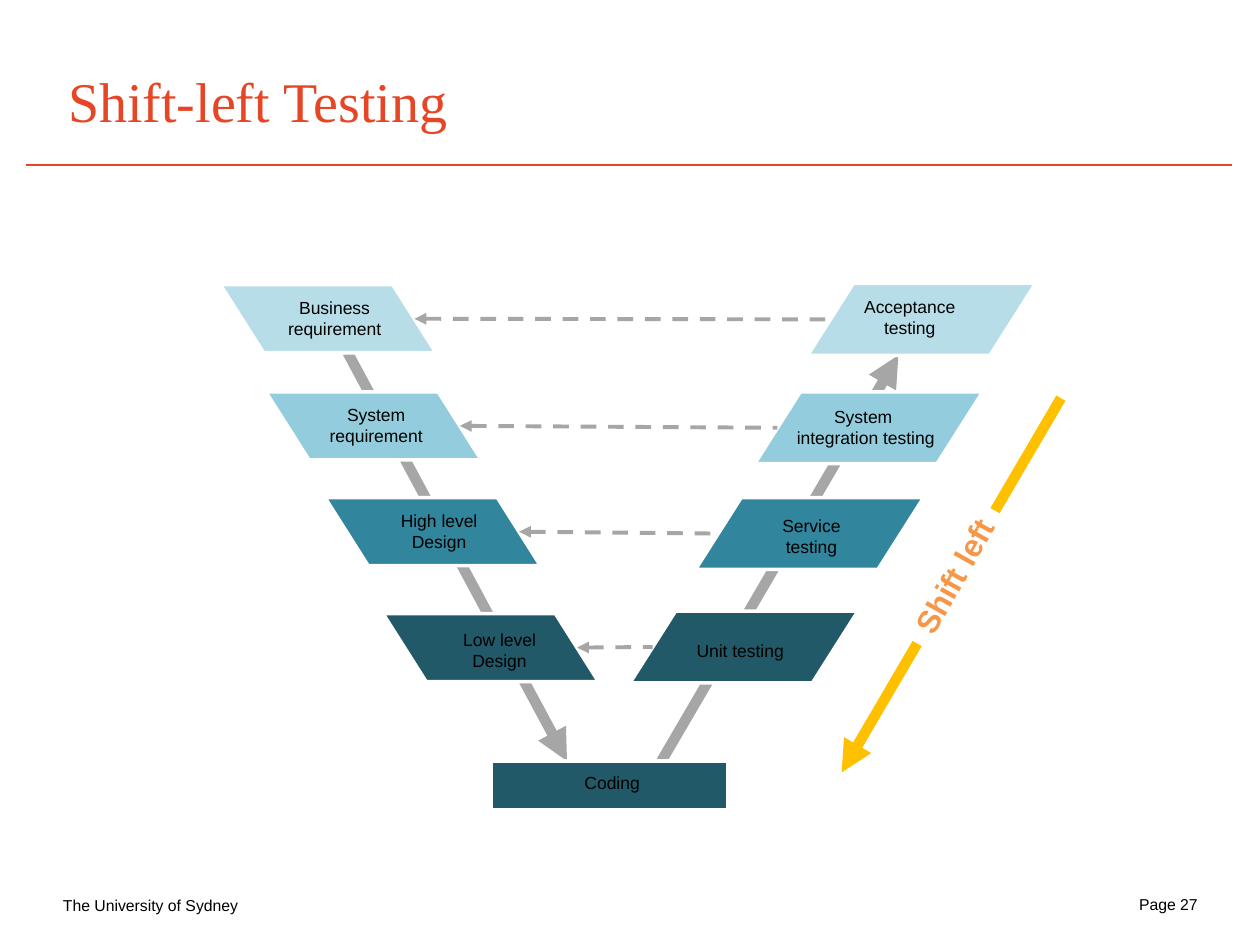
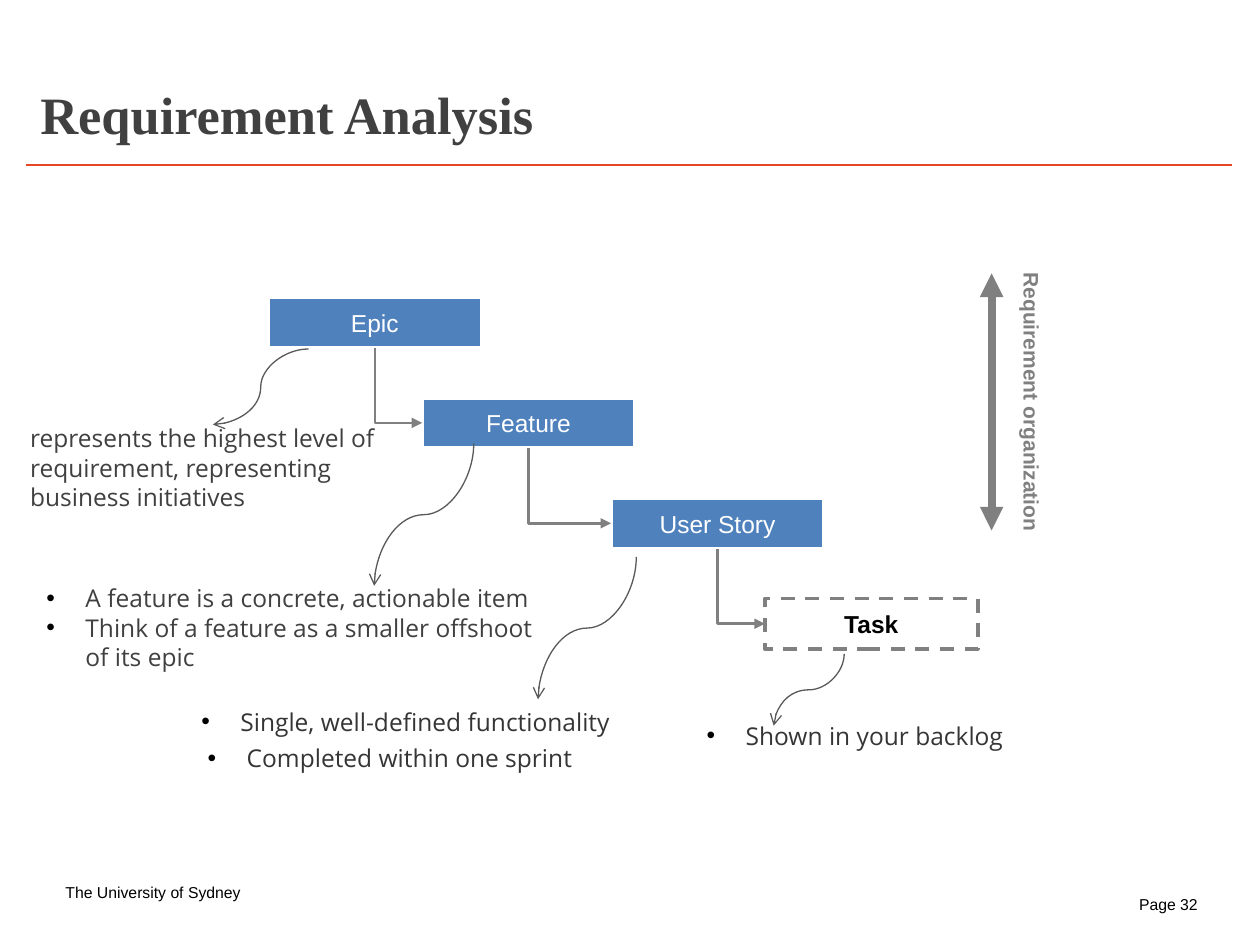
from lxml import etree
from pptx import Presentation
from pptx.dml.color import RGBColor
from pptx.enum.dml import MSO_LINE
from pptx.enum.shapes import MSO_CONNECTOR, MSO_SHAPE
from pptx.enum.text import MSO_ANCHOR, MSO_AUTO_SIZE, PP_ALIGN
from pptx.oxml.ns import qn
from pptx.util import Inches, Pt

STRAIGHT, ELBOW, CURVE = MSO_CONNECTOR.STRAIGHT, MSO_CONNECTOR.ELBOW, MSO_CONNECTOR.CURVE
RECT, SLANT = MSO_SHAPE.RECTANGLE, MSO_SHAPE.FLOWCHART_DATA
LEFT, CENTER = PP_ALIGN.LEFT, PP_ALIGN.CENTER
MIDDLE, TOP = MSO_ANCHOR.MIDDLE, MSO_ANCHOR.TOP
DASH = MSO_LINE.DASH
FIT = MSO_AUTO_SIZE.SHAPE_TO_FIT_TEXT
BOTTOM_SIDE, LEFT_SIDE = 2, 1
COLUMNS, ROWS = 100, 75
SANS, SERIF, BODY = "Arial", "Times New Roman", "Open Sans"
COLORS = {
    "red": "E64625", "white": "FFFFFF", "black": "000000", "ink": "404040",
    "body": "353535", "gray": "808080", "silver": "A6A6A6", "curve": "595959",
    "yellow": "FFC000", "orange": "F79646", "blue": "4F81BD",
    "level1": "B7DEE8", "level2": "93CDDD", "level3": "31859C", "level4": "215968",
}


def rgb(name):
    return RGBColor.from_string(COLORS[name])


class Deck:
    def __init__(self):
        self.prs = Presentation()
        self.prs.slide_width, self.prs.slide_height = Inches(10), Inches(7.5)
        self.s = None

    def col(self, n):
        return round(self.prs.slide_width * n / COLUMNS)

    def row(self, n):
        return round(self.prs.slide_height * n / ROWS)

    def box(self, x, y, w, h):
        return self.col(x), self.row(y), self.col(w), self.row(h)

    def slide(self, page, footer_at):
        self.s = self.prs.slides.add_slide(self.prs.slide_layouts[6])
        self.line((2.1, 13.1), (97.8, 13.1), "red", 0.75)
        for words, at in (("The University of Sydney", (*footer_at, 16.4, 1.5)),
                          (f"Page {page}", (90.4, 70.8, 5.1, 1.6))):
            self.text(at, words, 9, insets=(0, 0, 0, 0), spacing=1.17)

    def label(self, sp, words, size, color="black", font=SANS, bold=False, align=LEFT,
              anchor=TOP, insets=None, spacing=None, bullet=False):
        tf = sp.text_frame
        tf.text = words
        tf.word_wrap, tf.vertical_anchor = True, anchor
        if insets:
            tf.margin_left, tf.margin_top, tf.margin_right, tf.margin_bottom = map(Inches, insets)
        for p in tf.paragraphs:
            p.alignment = align
            if spacing:
                p.line_spacing = spacing
            if bullet:
                self.bullet(p)
            for r in p.runs:
                r.font.name, r.font.size, r.font.bold = font, Pt(size), bold
                r.font.color.rgb = rgb(color)

    def bullet(self, p):
        pPr = p._p.get_or_add_pPr()
        pPr.set("marL", str(Inches(0.31)))
        pPr.set("indent", str(Inches(-0.31)))
        shade = etree.SubElement(pPr, qn("a:buClr"))
        etree.SubElement(shade, qn("a:srgbClr"), val=COLORS["black"])
        etree.SubElement(pPr, qn("a:buFont"), typeface=SANS)
        etree.SubElement(pPr, qn("a:buChar"), char="•")

    def text(self, at, words, size, color="black", rotation=0, grow=True, **style):
        sp = self.s.shapes.add_textbox(*self.box(*at))
        sp.rotation = rotation
        self.label(sp, words, size, color, **style)
        if grow:
            sp.text_frame.auto_size = FIT

    def shape(self, kind, at, fill, line="white", dash=None, flip=False):
        sp = self.s.shapes.add_shape(kind, *self.box(*at))
        sp.shadow.inherit = False
        sp.fill.solid()
        sp.fill.fore_color.rgb = rgb(fill)
        sp.line.color.rgb = rgb(line)
        sp.line.width = Pt(2)
        if dash:
            sp.line.dash_style = dash
        if flip:
            sp.element.spPr.find(qn("a:xfrm")).set("flipH", "1")
        return sp

    def line(self, start, end, color, width, kind=STRAIGHT, head=None, tail=None, dash=None):
        c = self.s.shapes.add_connector(kind, self.col(start[0]), self.row(start[1]),
                                        self.col(end[0]), self.row(end[1]))
        c.line.color.rgb = rgb(color)
        c.line.width = Pt(width)
        if dash:
            c.line.dash_style = dash
        spPr = c.element.spPr
        for tag, arrow in (("a:headEnd", head), ("a:tailEnd", tail)):
            if arrow:
                etree.SubElement(spPr.find(qn("a:ln")), qn(tag), type=arrow)
        etree.SubElement(spPr, qn("a:effectLst"))
        return c

    def turn(self, c, degrees, flip):
        x, y, w, h = c.left, c.top, c.width, c.height
        c.left, c.top = x + (w - h) // 2, y + (h - w) // 2
        c.width, c.height = h, w
        xfrm = c.element.spPr.find(qn("a:xfrm"))
        xfrm.set("rot", str(degrees * 60000))
        xfrm.set("flipH", "1" if flip else "0")

    def step(self, upper, lower):
        c = self.line((0, 0), (1, 1), "gray", 1.5, ELBOW, tail="triangle")
        c.begin_connect(upper, BOTTOM_SIDE)
        c.end_connect(lower, LEFT_SIDE)
        c.element.spPr.find(qn("a:prstGeom")).set("prst", "bentConnector2")
        self.turn(c, 270, True)

    def pointer(self, start, end, downward=True):
        c = self.line(start, end, "curve", 0.75, CURVE, tail="arrow")
        if downward:
            self.turn(c, 90, False)


def shift_left_testing(d):
    d.slide(27, (5, 70.8))
    d.text((5.4, 5.1, 61.2, 5.7), "Shift-left Testing", 32, "red", font=SERIF,
           insets=(0, 0.02, 0, 0))
    for start, end, color, tail in (
            ((84.2, 31.6), (66.8, 61.3), "yellow", "triangle"),
            ((27.6, 28), (45, 60.4), "silver", "triangle"),
            ((52.5, 60.4), (71.3, 28.2), "silver", "triangle")):
        d.line(start, end, color, 6, tail=tail)

    design = [
        (17.5, 22.6, (20.7, 23.1), "Business requirement"),
        (21.1, 31.1, (24, 31.6), "System requirement"),
        (25.8, 39.5, (29, 40), "High level Design"),
        (30.4, 48.7, (33.8, 49.4), "Low level Design"),
    ]
    testing = [
        (64.1, 22.5, (67.4, 23, 9.6), "Acceptance testing"),
        (59.9, 31.1, (61.8, 31.7, 13.8), "System \nintegration testing"),
        (55.2, 39.5, (59.3, 40.4, 10.2), "Service testing"),
        (50, 48.5, (54.3, 50.3, 9.2), "Unit testing"),
    ]
    for level, (left, right) in enumerate(zip(design, testing), 1):
        fill = f"level{level}"
        x, y, label, words = left
        tx, ty, test_label, test_words = right
        d.shape(SLANT, (tx, ty, 18.1, 5.7), fill)
        d.shape(SLANT, (x, y, 17.1, 5.4), fill, flip=True)
        d.line((x + 15.4, y + 2.7), (tx + 1.8, ty + 2.85), "silver", 2.25,
               head="triangle", dash=DASH)
        d.text((*label, 11.7, 4.4), words, 10, align=CENTER)
        d.text((*test_label, 2.7 if level == 4 else 4.4), test_words, 10,
               align=LEFT if level == 4 else CENTER)

    d.shape(RECT, (39, 60.4, 18.8, 3.9), "level4")
    d.text((45.4, 60.8, 7.1, 2.7), "Coding", 10)
    banner = d.shape(RECT, (69.6, 43.7, 12.2, 4), "white")
    banner.line.fill.background()
    banner.rotation = 299.4
    d.label(banner, "Shift left", 18, "orange", bold=True, align=CENTER)


def requirement_analysis(d):
    d.slide(32, (5.2, 69.8))
    d.text((2.5, 6.1, 47.7, 6.3), "Requirement Analysis", 30, "ink", font=SERIF,
           bold=True, grow=False, insets=(0.07, 0.04, 0.07, 0.04))

    boxes = []
    for i, (x, words) in enumerate(((21.3, "Epic"), (33.5, "Feature"),
                                    (48.5, "User Story"), (60.7, "Task"))):
        task = words == "Task"
        sp = d.shape(RECT, (x, 23.6 + 7.97 * i, 16.9, 4), "white" if task else "blue",
                     "gray" if task else "white", DASH if task else None)
        d.label(sp, words, 14, "black" if task else "white", bold=task,
                align=CENTER, anchor=MIDDLE)
        boxes.append(sp)
    for upper, lower in zip(boxes, boxes[1:]):
        d.step(upper, lower)

    d.line((78.7, 21.7), (78.7, 42.1), "gray", 4.5, head="triangle", tail="triangle")
    d.text((69, 30.4, 25.8, 3), "Requirement organization", 12, "gray", rotation=90,
           bold=True, align=CENTER)

    d.text((1.4, 33.1, 30.2, 8.1),
           "represents the highest level of requirement, representing business initiatives",
           14, "ink", font=BODY)
    for at, color, words in (
            ((2.7, 45.8, 41, 8.1), "ink", "A feature is a concrete, actionable item\n"
             "Think of a feature as a smaller offshoot of its epic"),
            ((15, 55.6, 35.4, 3.4), "body", "Single, well-defined functionality"),
            ((15.5, 58.5, 32.3, 3.4), "body", "Completed within one sprint"),
            ((55.1, 56.7, 28.3, 3.4), "body", "Shown in your backlog")):
        d.text(at, words, 14, color, font=BODY, bullet=True)

    d.pointer((24.5, 27.7), (16.9, 33.7), downward=False)
    for start, end in (((37.6, 35.2), (29.7, 46.5)), ((50.5, 44.2), (42.7, 55.5)),
                       ((67, 51.9), (61.4, 57.6))):
        d.pointer(start, end)


def main():
    d = Deck()
    shift_left_testing(d)
    requirement_analysis(d)
    d.prs.save("out.pptx")


if __name__ == "__main__":
    main()
